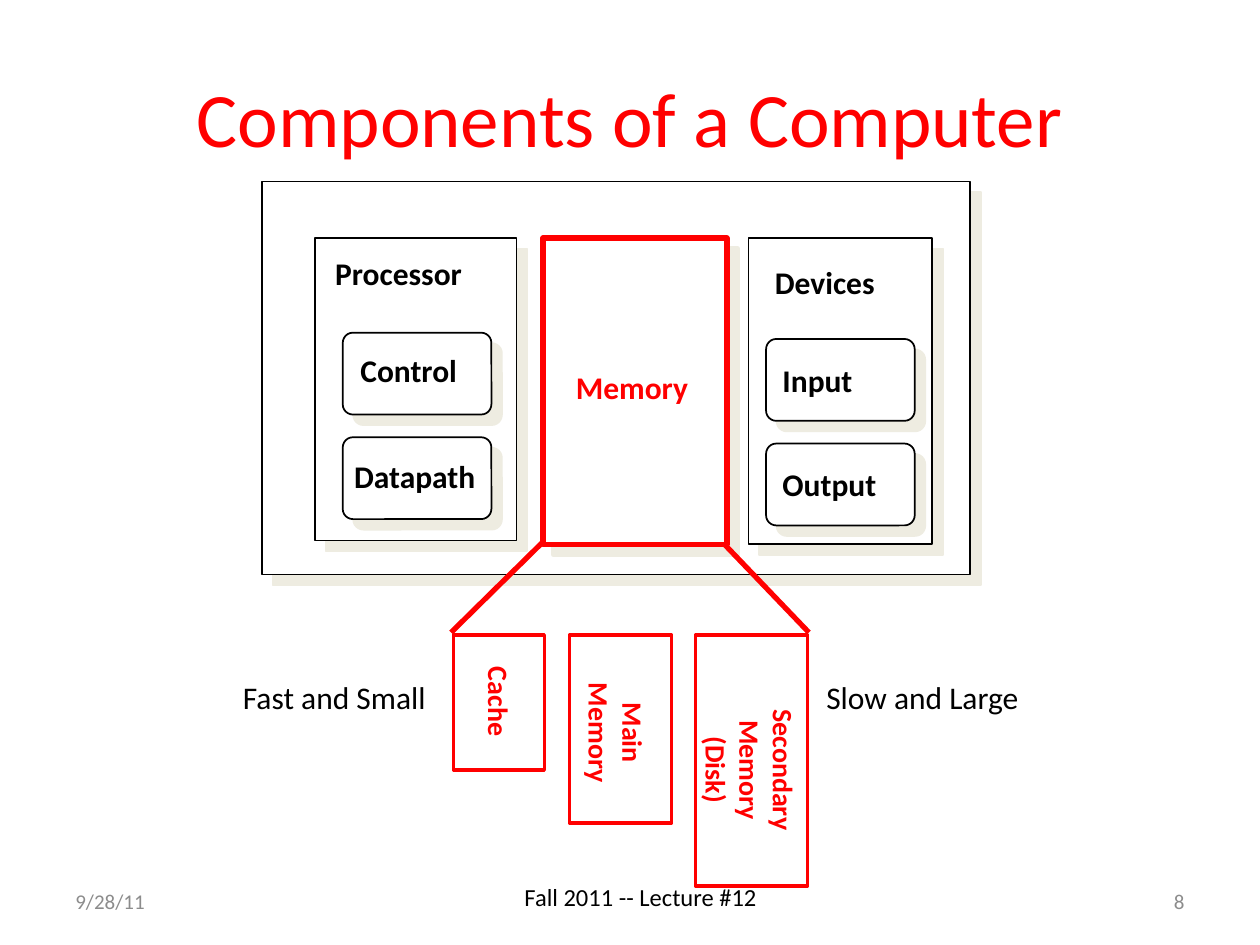
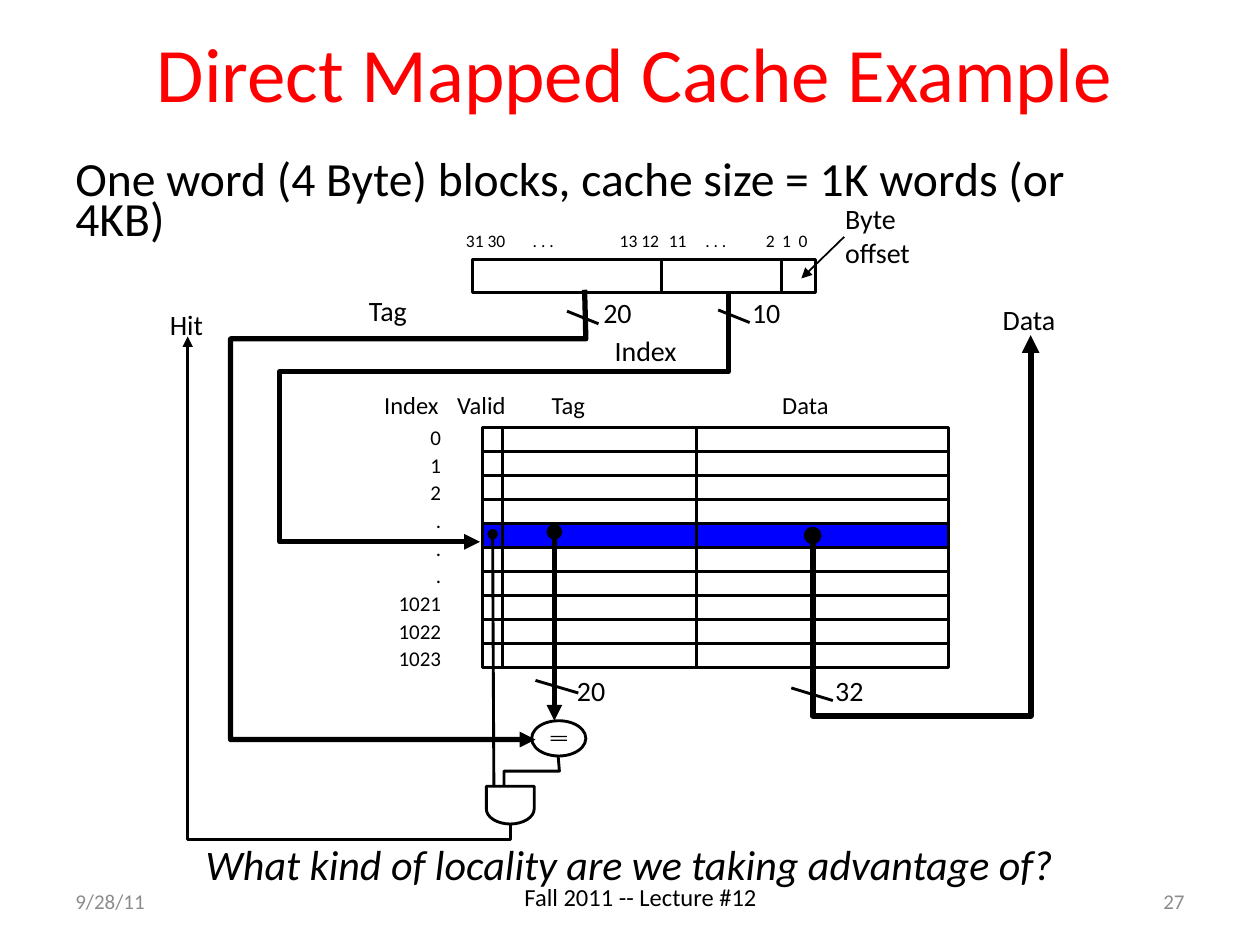
"""Build two lecture slides on computer components and a direct mapped cache."""
import math
from dataclasses import dataclass

from lxml import etree
from pptx import Presentation
from pptx import util as u
from pptx.dml.color import RGBColor
from pptx.enum import shapes, text
from pptx.oxml.ns import qn
from pptx.slide import Slide

COLORS = {
    "ink": "000000",
    "accent": "FF0000",
    "paper": "FFFFFF",
    "shade": "EEECE1",
    "muted": "8C8C8C",
    "selected": "0000FF",
}
FONT = "Calibri"
THIN, THICK = 1.63, 3
LEFT, CENTER, RIGHT = text.PP_ALIGN.LEFT, text.PP_ALIGN.CENTER, text.PP_ALIGN.RIGHT
RECT, ROUNDED, OVAL = (
    shapes.MSO_SHAPE.RECTANGLE,
    shapes.MSO_SHAPE.ROUNDED_RECTANGLE,
    shapes.MSO_SHAPE.OVAL,
)


@dataclass(frozen=True)
class Label:
    """Text at a place; each line of the words is a paragraph."""
    words: str
    left: float
    top: float
    width: float
    height: float = 0.37
    size: float = 16
    color: str = "ink"
    bold: bool = False
    italic: bool = False
    align: text.PP_ALIGN = LEFT
    spacing: float = 1.0
    rotation: float = 0
    inset: tuple[float, float] = (0.1, 0.05)
    wrap: bool = False
    middle: bool = False
    tabs: tuple[float, ...] = ()


@dataclass(frozen=True)
class Block:
    """Outlined or filled preset shape."""
    left: float
    top: float
    width: float
    height: float
    outline: str | None = "ink"
    weight: float = 1
    fill: str | None = None
    preset: shapes.MSO_SHAPE = RECT
    shaded: bool = False


@dataclass(frozen=True)
class Wire:
    """Line through two or more points, with optional end marks."""
    points: tuple[tuple[float, float], ...]
    weight: float = THIN
    color: str = "ink"
    head: str = ""
    tail: str = ""


def rgb(name: str) -> RGBColor:
    """Look up a named colour."""
    return RGBColor.from_string(COLORS[name])


def write(frame, label: Label) -> None:
    """Fill a text frame run by run."""
    frame.word_wrap = label.wrap
    frame.auto_size = text.MSO_AUTO_SIZE.NONE if label.wrap else text.MSO_AUTO_SIZE.SHAPE_TO_FIT_TEXT
    frame.vertical_anchor = text.MSO_ANCHOR.MIDDLE if label.middle else text.MSO_ANCHOR.TOP
    frame.margin_left = frame.margin_right = u.Inches(label.inset[0])
    frame.margin_top = frame.margin_bottom = u.Inches(label.inset[1])
    for number, words in enumerate(label.words.split("\n")):
        paragraph = frame.add_paragraph() if number else frame.paragraphs[0]
        paragraph.alignment = label.align
        paragraph.line_spacing = label.spacing
        if label.tabs:
            stops = etree.SubElement(paragraph._p.get_or_add_pPr(), qn("a:tabLst"))
            for stop in label.tabs:
                etree.SubElement(stops, qn("a:tab"), pos=str(u.Inches(stop)), algn="l")
        run = paragraph.add_run()
        run.text = words
        run.font.name, run.font.size = FONT, u.Pt(label.size)
        run.font.bold, run.font.italic = label.bold, label.italic
        run.font.color.rgb = rgb(label.color)


def draw_label(slide: Slide, label: Label) -> None:
    """Add a label as a text box."""
    place = (u.Inches(n) for n in (label.left, label.top, label.width, label.height))
    box = slide.shapes.add_textbox(*place)
    box.rotation = label.rotation
    write(box.text_frame, label)


def draw_block(slide: Slide, block: Block) -> None:
    """Add a preset shape, with a hard offset shadow if it is shaded."""
    place = (u.Inches(n) for n in (block.left, block.top, block.width, block.height))
    shape = slide.shapes.add_shape(block.preset, *place)
    shape.shadow.inherit = False
    if block.preset == ROUNDED:
        shape.adjustments[0] = 0.125
    if block.fill:
        shape.fill.solid()
        shape.fill.fore_color.rgb = rgb(block.fill)
    else:
        shape.fill.background()
    if block.outline:
        shape.line.color.rgb = rgb(block.outline)
        shape.line.width = u.Pt(block.weight)
    else:
        shape.line.fill.background()
    if block.shaded:
        effects = shape._element.spPr.find(qn("a:effectLst"))
        shadow = etree.SubElement(effects, qn("a:outerShdw"), blurRad="0", dist=str(u.Pt(8.5)),
                                  dir="2700000", algn="ctr", rotWithShape="0")
        etree.SubElement(shadow, qn("a:srgbClr"), val=COLORS["shade"])


def draw_wire(slide: Slide, wire: Wire) -> None:
    """Add a connector for two points and a freeform for more."""
    points = [(u.Inches(x), u.Inches(y)) for x, y in wire.points]
    if len(points) == 2:
        line = slide.shapes.add_connector(shapes.MSO_CONNECTOR.STRAIGHT, *points[0], *points[1])
        etree.SubElement(line._element.spPr, qn("a:effectLst"))
    else:
        builder = slide.shapes.build_freeform(*points[0], scale=1.0)
        builder.add_line_segments(points[1:], close=False)
        line = builder.convert_to_shape()
        line.fill.background()
        line.shadow.inherit = False
    line.line.color.rgb = rgb(wire.color)
    line.line.width = u.Pt(wire.weight)
    for tag, mark in (("a:headEnd", wire.head), ("a:tailEnd", wire.tail)):
        if mark:
            etree.SubElement(line.line._get_or_add_ln(), qn(tag), type=mark)


def start_slide(deck, title: Label, number: str) -> Slide:
    """Add a slide with its title, date, footer and number."""
    slide = deck.slides.add_slide(deck.slide_layouts[5])
    heading = slide.shapes.title
    heading.left, heading.top = u.Inches(title.left), u.Inches(title.top)
    heading.width, heading.height = u.Inches(title.width), u.Inches(title.height)
    write(heading.text_frame, title)
    footer = dict(top=6.95, height=0.4, wrap=True)
    small = dict(footer, width=2.33, size=12, color="muted", middle=True)
    draw_label(slide, Label("9/28/11", 0.5, **small))
    draw_label(slide, Label("Fall 2011 -- Lecture #12", 3.5, width=3.17, size=14, align=CENTER, **footer))
    draw_label(slide, Label(number, 7.17, align=RIGHT, **small))
    return slide


def title_at(words: str, left: float, top: float, height: float) -> Label:
    """Describe a slide title in the shared style."""
    return Label(words, left, top, 9, height, 44, "accent", align=CENTER, wrap=True, middle=True)


def build_components(deck) -> None:
    """Draw the computer and its memory hierarchy."""
    slide = start_slide(deck, title_at("Components of a Computer", 0.5, 0.3, 1.25), "8")
    card = dict(fill="paper", shaded=True)
    computer = Block(2.08, 1.44, 5.62, 3.12, **card)
    processor = Block(2.5, 1.89, 1.6, 2.4, **card)
    memory = Block(4.31, 1.89, 1.46, 2.43, "accent", 3, **card)
    devices = Block(5.94, 1.89, 1.46, 2.43, **card)
    units = [Block(left, top + step, 1.18, 0.65, preset=ROUNDED, **card)
             for left, top in ((2.72, 2.64), (6.08, 2.69)) for step in (0, 0.83)]
    for block in (computer, processor, memory, devices, *units):
        draw_block(slide, block)

    for words, left, top, width, color in (
        ("Processor", 2.59, 2.03, 1.15, "ink"),
        ("Control", 2.79, 2.8, 1.03, "ink"),
        ("Datapath", 2.74, 3.64, 1.21, "ink"),
        ("Memory", 4.5, 2.94, 1.05, "accent"),
        ("Devices", 6.08, 2.1, 1.08, "ink"),
        ("Input", 6.14, 2.88, 0.75, "ink"),
        ("Output", 6.14, 3.71, 0.96, "ink"),
    ):
        draw_label(slide, Label(words, left, top, width, 0.31, 18, color, True,
                                spacing=0.85, inset=(0.07, 0.03)))

    level = dict(color="accent", bold=True, rotation=90)
    for left, width, height, name in (
        (3.6, 0.72, 1.07, Label("Cache", 3.58, 5.39, 0.76, **level)),
        (4.52, 0.81, 1.49, Label("Main Memory", 4.27, 5.5, 1.25, 0.63,
                                 align=CENTER, wrap=True, **level)),
        (5.52, 0.89, 1.99, Label("Secondary Memory\n(Disk)", 5.12, 5.66, 1.67, 0.9,
                                 align=CENTER, wrap=True, **level)),
    ):
        draw_block(slide, Block(left, 5.04, width, height, "accent", 2))
        draw_label(slide, name)
    for top_x, bottom_x in ((4.3, 3.58), (5.74, 6.42)):
        draw_wire(slide, Wire(((top_x, 4.31), (bottom_x, 5.02)), THICK, "accent"))
    draw_label(slide, Label("Fast and Small", 1.83, 5.33, 1.67, 0.4, 18))
    draw_label(slide, Label("Slow and Large", 6.46, 5.33, 1.74, 0.4, 18))


def draw_address(slide: Slide) -> None:
    """Draw the address register with its bit numbers."""
    draw_block(slide, Block(3.75, 2.06, 2.72, 0.26, weight=THIN))
    for x in (5.25, 6.2):
        draw_wire(slide, Wire(((x, 2.06), (x, 2.31))))
    draw_label(slide, Label("31 30\t. . .\t13 12\t11\t. . .\t2\t1\t0", 3.6, 1.78, 3.1, 0.27, 10, wrap=True,
                            tabs=(0.53, 1.22, 1.61, 1.9, 2.38, 2.51, 2.64)))
    draw_label(slide, Label("Byte offset", 6.61, 1.55, 0.92, 0.64, wrap=True))
    draw_wire(slide, Wire(((6.7, 1.88), (6.36, 2.21)), 1, tail="triangle"))


def draw_cache(slide: Slide) -> None:
    """Draw the cache rows, their headings and their indexes."""
    left, top, width, height, rows, selected = 3.83, 3.39, 3.7, 1.91, 10, 4
    row_height = height / rows
    draw_block(slide, Block(left, top, width, height, weight=THIN))
    draw_block(slide, Block(left, top + selected * row_height, width, row_height,
                            weight=THIN, fill="selected"))
    for row in range(1, rows):
        y = top + row * row_height
        draw_wire(slide, Wire(((left, y), (left + width, y))))
    for x in (3.99, 5.53):
        draw_wire(slide, Wire(((x, top), (x, top + height))))
    for heading, x, wide in (("Index", 2.95, 0.68), ("Valid", 3.53, 0.63),
                             ("Tag", 4.28, 0.53), ("Data", 6.11, 0.61)):
        draw_label(slide, Label(heading, x, 3.05, wide, 0.33, 14))
    draw_label(slide, Label("0\n1\n2\n.\n.\n.\n1021\n1022\n1023", 3.03, 3.3, 0.57, 2.09, 12,
                            align=RIGHT, spacing=1.1))


def draw_hit_logic(slide: Slide) -> None:
    """Draw the tag comparator and the AND gate."""
    draw_block(slide, Block(4.22, 5.72, 0.43, 0.28, weight=THIN, preset=OVAL))
    for y in (5.84, 5.87):
        draw_block(slide, Block(4.37, y, 0.13, 0.01, outline=None, fill="ink"))
    steps = 16
    bowl = tuple((4.05 + 0.19 * math.cos(math.pi * n / steps), 6.42 + 0.12 * math.sin(math.pi * n / steps))
                 for n in range(steps + 1))
    draw_wire(slide, Wire(((3.86, 6.24), (4.24, 6.24), *bowl, (3.86, 6.24))))


def build_cache_example(deck) -> None:
    """Draw the lookup in a direct mapped cache."""
    slide = start_slide(deck, title_at("Direct Mapped Cache Example", 0.54, 0.06, 1.02), "27")
    draw_label(slide, Label("One word (4 Byte) blocks, cache size = 1K words (or 4KB)",
                            0.5, 1.26, 8.83, 0.74, 27.2, spacing=0.7, wrap=True))
    draw_address(slide)
    draw_cache(slide)
    draw_hit_logic(slide)

    arrow = dict(weight=THICK, tail="triangle")
    for wire in (
        Wire(((4.64, 2.3), (4.65, 2.69), (1.83, 2.69), (1.83, 5.87), (4.25, 5.87)), **arrow),
        Wire(((5.78, 2.32), (5.78, 2.95), (2.22, 2.95), (2.22, 4.3), (3.81, 4.3)), **arrow),
        Wire(((4.4, 4.22), (4.4, 5.72)), head="oval", **arrow),
        Wire(((6.45, 4.25), (6.45, 5.68), (8.18, 5.68), (8.18, 2.66)), 3.38,
             head="oval", tail="triangle"),
        Wire(((3.91, 4.24), (3.92, 6.24)), head="oval"),
        Wire(((4.43, 6), (4.44, 6.12), (4, 6.12), (4, 6.24))),
        Wire(((4.05, 6.54), (4.05, 6.66), (1.49, 6.66), (1.49, 2.67)), tail="triangle"),
    ):
        draw_wire(slide, wire)

    for bits, slash_x, slash_y, run, left, top in (
        ("20", 4.5, 2.47, 0.25, 4.69, 2.3),
        ("10", 5.7, 2.46, 0.25, 5.87, 2.3),
        ("20", 4.25, 5.4, 0.34, 4.48, 5.3),
        ("32", 6.28, 5.46, 0.33, 6.53, 5.3),
    ):
        draw_wire(slide, Wire(((slash_x, slash_y), (slash_x + run, slash_y + 0.1))))
        draw_label(slide, Label(bits, left, top, 0.45))
    for signal, left, top, width in (("Tag", 2.83, 2.28, 0.58), ("Index", 4.78, 2.6, 0.74),
                                     ("Hit", 1.25, 2.39, 0.47), ("Data", 7.86, 2.35, 0.67)):
        draw_label(slide, Label(signal, left, top, width))
    draw_label(slide, Label("What kind of locality are we taking advantage of?", 0.58, 6.65, 8.83, 0.5, 24,
                            italic=True, align=CENTER, spacing=0.9, wrap=True))


def main() -> None:
    """Build and save the deck."""
    deck = Presentation()
    deck.slide_width, deck.slide_height = u.Inches(10), u.Inches(7.5)
    build_components(deck)
    build_cache_example(deck)
    deck.save("out.pptx")


if __name__ == "__main__":
    main()
